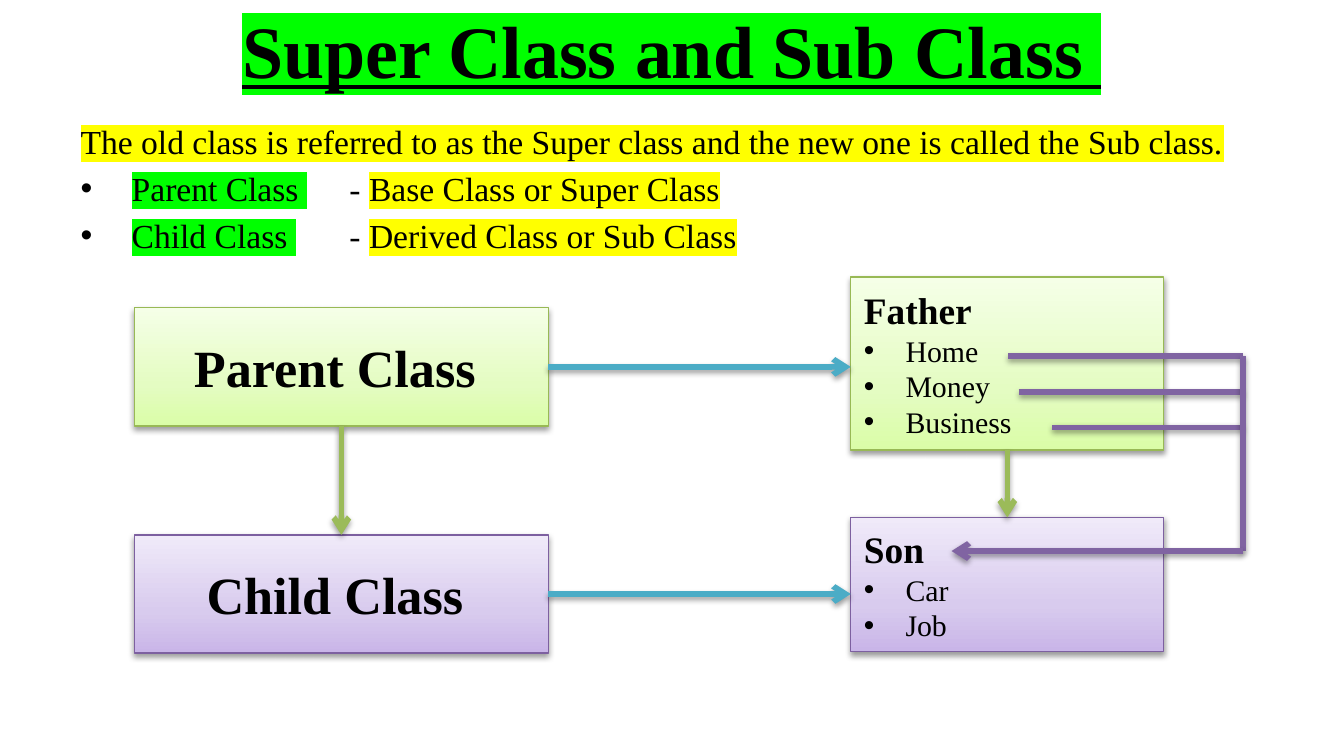
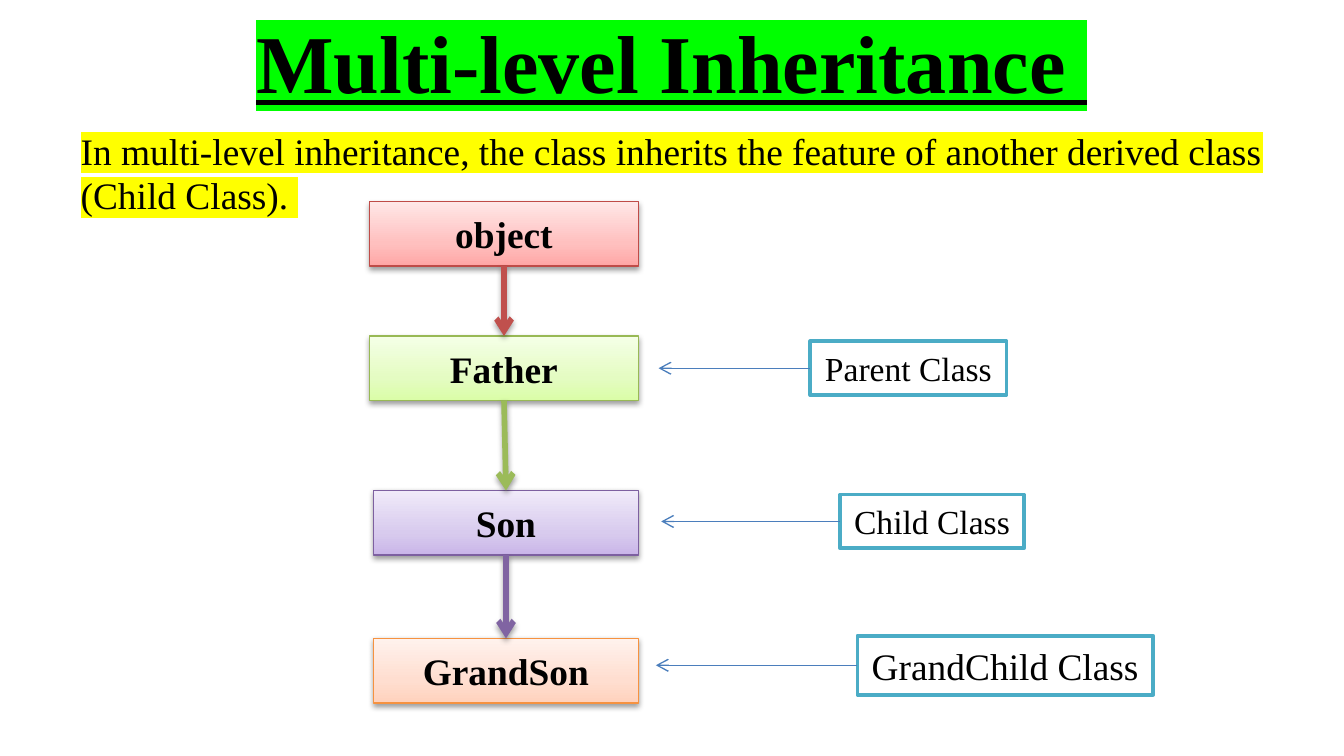
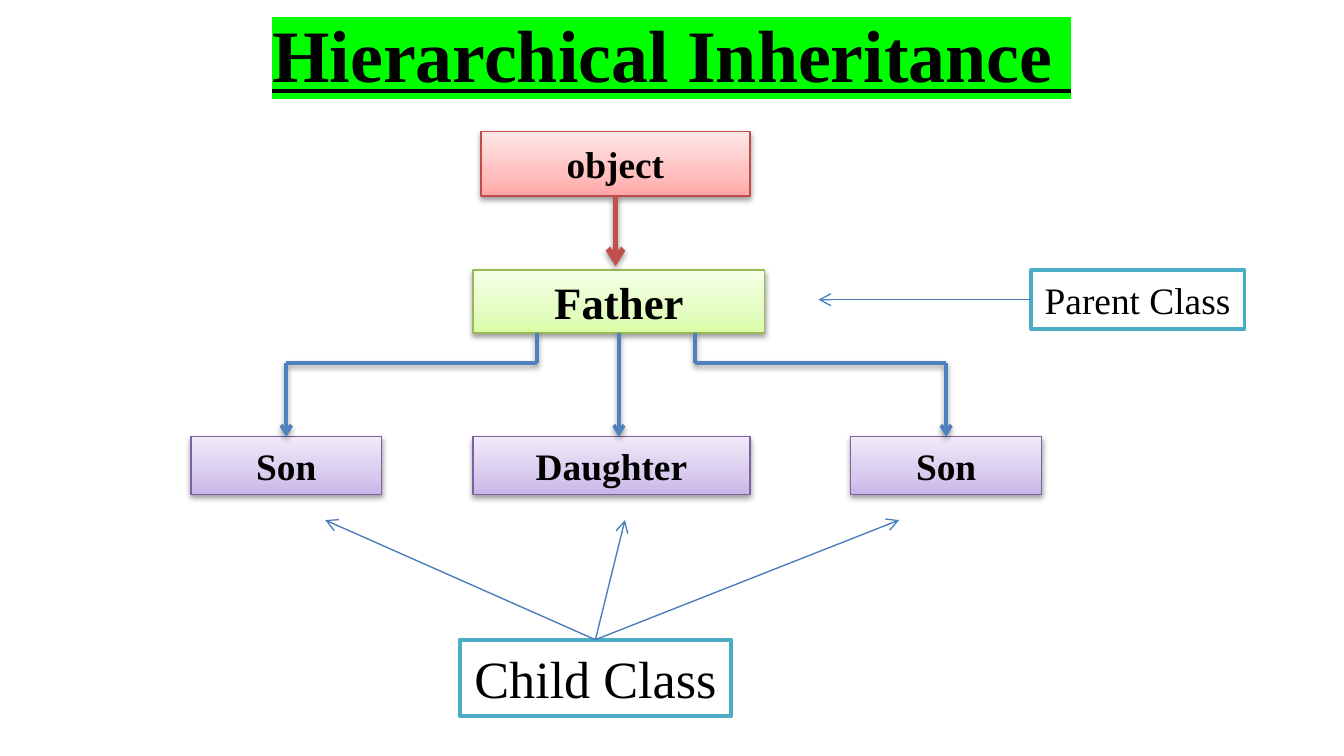
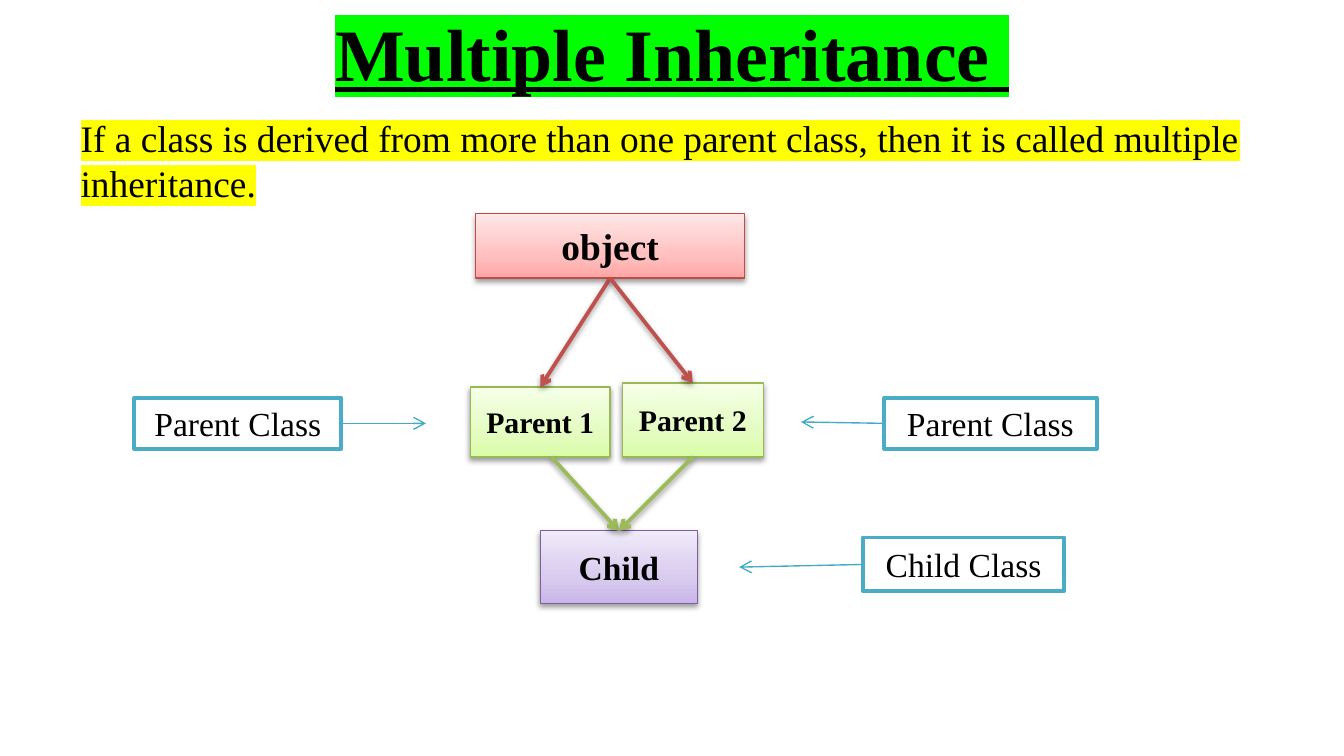
from dataclasses import dataclass

from lxml import etree
from pptx import Presentation
from pptx import util as u
from pptx.dml.color import RGBColor
from pptx.enum import shapes, text
from pptx.oxml.ns import qn

FONT = "Times New Roman"
UNIT = u.Inches(0.1)  # one column or row: 1% of the slide's width
COLORS = {
    "ink": "000000", "paper": "FFFFFF", "lime": "00FF00", "yellow": "FFFF00",
    "red": "C0504D", "green": "9BBB59", "purple": "8064A2", "blue": "4F81BD",
    "aqua": "4BACC6", "thin blue": "4B7EBC", "thin aqua": "46AAC5",
}
# Card styles: outline, then gradient from bottom to top
CARDS = {
    "red": ("BF4C48", "FFA6A5", "FFC0BF", "FFE7E7"),
    "green": ("98B955", "DAFDA7", "E4FCC2", "F5FFE7"),
    "purple": ("7D60A0", "C9B5E8", "D8CBEE", "F0EAF9"),
    "orange": ("F69240", "FFD2BD", "FFDED0", "FFF2ED"),
}


@dataclass
class Box:
    """A rectangle in grid units."""
    x: float
    y: float
    w: float
    h: float

    def sub(self, x, y, w, h):
        """A box whose corner is measured from this one's."""
        return Box(self.x + x, self.y + y, w, h)

    def at(self, fx, fy):
        """The point at the given shares of width and height."""
        return self.x + fx * self.w, self.y + fy * self.h

    def off(self, dx, dy):
        return self.x + dx, self.y + dy

    def emu(self):
        return [grid(v) for v in (self.x, self.y, self.w, self.h)]


def grid(value):
    return u.Emu(round(value * UNIT))


def rgb(name):
    return RGBColor.from_string(COLORS.get(name, name))


def add_xml(parent, tag, **attrs):
    return etree.SubElement(parent, qn(tag), {k: str(v) for k, v in attrs.items()})


def add_color(parent, value):
    return add_xml(parent, "a:srgbClr", val=COLORS.get(value, value))


def add_shadow(effects):
    shadow = add_xml(effects, "a:outerShdw", blurRad=u.Pt(3.1), dist=u.Pt(1.6),
                     dir=5400000, rotWithShape=0)
    add_xml(add_color(shadow, "ink"), "a:alpha", val=38000)


def set_font(p, size, bold=False):
    p.font.name, p.font.size, p.font.bold = FONT, u.Pt(size), bold
    p.font.color.rgb = rgb("ink")


def add_run(p, words, highlight=None):
    r = p.add_run()
    r.text = words
    if highlight:
        add_color(add_xml(r._r.get_or_add_rPr(), "a:highlight"), highlight)


def set_bullet(p, indent):
    pPr = p._p.get_or_add_pPr()
    pPr.set("marL", str(u.Inches(indent)))
    pPr.set("indent", str(-u.Inches(indent)))
    add_xml(pPr, "a:buFont", typeface="Arial")
    add_xml(pPr, "a:buChar", char="•")


def place(sp, box):
    sp.left, sp.top, sp.width, sp.height = box.emu()
    sp.text_frame.auto_size = text.MSO_AUTO_SIZE.NONE
    sp.text_frame.word_wrap = True


def add_slide(prs, title, box, size=39.6, has_body=False):
    s = prs.slides.add_slide(prs.slide_layouts[1 if has_body else 5])
    place(s.shapes.title, box)
    tf = s.shapes.title.text_frame
    tf.vertical_anchor = text.MSO_ANCHOR.MIDDLE
    p = tf.paragraphs[0]
    p.alignment = text.PP_ALIGN.CENTER
    add_run(p, title, "lime")
    set_font(p, size, bold=True)
    p.font.underline = True
    return s


def add_body(s, box, lead, size, terms=()):
    """Fill the body with a lead sentence and a bullet for each defined term."""
    body = s.placeholders[1]
    place(body, box)
    tf = body.text_frame
    p = tf.paragraphs[0]
    pPr = p._p.get_or_add_pPr()
    pPr.set("marL", "0")
    pPr.set("indent", "0")
    p.space_before = u.Pt(0)
    add_xml(pPr, "a:buNone")
    add_run(p, lead, "yellow")
    set_font(p, size)
    for term, meaning in terms:
        p = tf.add_paragraph()
        set_bullet(p, 0.38)
        add_run(p, term, "lime")
        add_run(p, "\t- ")
        add_run(p, meaning, "yellow")
        set_font(p, size)


def add_rect(s, box, outline, width, words, size, bold):
    sp = s.shapes.add_shape(shapes.MSO_SHAPE.RECTANGLE, *box.emu())
    sp.shadow.inherit = False
    sp.line.color.rgb, sp.line.width = rgb(outline), u.Pt(width)
    tf = sp.text_frame
    tf.vertical_anchor = text.MSO_ANCHOR.MIDDLE
    p = tf.paragraphs[0]
    p.alignment = text.PP_ALIGN.CENTER
    add_run(p, words)
    set_font(p, size, bold)
    return sp


def add_card(s, box, style, words, size=20, items=()):
    """A shaded class box; with items, a left-aligned heading and list."""
    outline, *stops = CARDS[style]
    sp = add_rect(s, box, outline, 0.75, words, size, bold=True)
    sp.fill.gradient()
    sp.fill.gradient_angle = 90
    spPr = sp._element.spPr
    stop_list = spPr.find(".//" + qn("a:gsLst"))
    for stop in list(stop_list):
        stop_list.remove(stop)
    for pos, color in zip((0, 35, 100), stops):
        add_color(add_xml(stop_list, "a:gs", pos=pos * 1000), color)
    add_shadow(spPr.find(qn("a:effectLst")))
    tf = sp.text_frame
    tf.word_wrap = True
    if items:
        tf.paragraphs[0].alignment = text.PP_ALIGN.LEFT
    for item in items:
        p = tf.add_paragraph()
        p.alignment = text.PP_ALIGN.LEFT
        set_bullet(p, 0.31)
        add_run(p, item)
        set_font(p, 16)
    return box


def add_tag(s, box, words, size=18):
    sp = add_rect(s, box, "aqua", 2, words, size, bold=False)
    sp.fill.solid()
    sp.fill.fore_color.rgb = rgb("paper")
    sp.text_frame.word_wrap = False
    return box


def add_line(parent, start, end, color, width=3, head=True):
    ends = [grid(v) for v in (*start, *end)]
    c = parent.shapes.add_connector(shapes.MSO_CONNECTOR.STRAIGHT, *ends)
    c.line.color.rgb, c.line.width = rgb(color), u.Pt(width)
    spPr = c._element.spPr
    if head:
        add_xml(spPr.find(qn("a:ln")), "a:tailEnd", type="arrow")
    effects = add_xml(spPr, "a:effectLst")
    if width > 1:
        add_shadow(effects)


def add_pointer(s, start, end, color="thin blue"):
    add_line(s, start, end, color, 0.75)


def add_route(parent, points, color, width):
    """Join the points with straight lines, the last one an arrow."""
    for i in range(1, len(points)):
        add_line(parent, points[i - 1], points[i], color, width, i == len(points) - 1)


def draw_super_and_sub(s, box):
    parent = add_card(s, box.sub(0, 2.3, 30.8, 8.8), "green", "Parent Class ", 28)
    child = add_card(s, box.sub(0, 19.2, 30.8, 8.8), "purple", "Child Class ", 28)
    father = add_card(s, box.sub(53.3, 0, 23.3, 12.9), "green", "Father",
                      items=("Home", "Money", "Business"))
    son = add_card(s, box.sub(53.3, 17.9, 23.3, 10), "purple", "Son",
                   items=("Car", "Job"))
    for upper, lower in ((parent, child), (father, son)):
        add_line(s, upper.at(0.5, 1), lower.at(0.5, 0), "green")
    for source in (parent, child):
        x, y = source.at(1, 0.5)
        add_line(s, (x, y), (father.x, y), "aqua")

    # Everything the father owns runs down one rail to the son
    group = s.shapes.add_group_shape()
    rail = box.x + box.w
    starts = [father.off(dx, 5.9 + 2.65 * i) for i, dx in enumerate((11.7, 12.5, 15))]
    for x, y in starts[1:]:
        add_line(group, (x, y), (rail, y), "purple", head=False)
    end = son.off(7.5, 2.5)
    add_route(group, [starts[0], (rail, starts[0][1]), (rail, end[1]), end],
              "purple", 3)


def draw_levels(s, box):
    levels = (("object", "red", 0, 0), ("Father", "green", 0, 10),
              ("Son", "purple", 0.3, 21.5), ("GrandSon", "orange", 0.3, 32.5))
    cards = [add_card(s, box.sub(x, y, box.w - x, 4.8), style, name)
             for name, style, x, y in levels]
    for upper, lower, level in zip(cards, cards[1:], levels):
        add_line(s, upper.at(0.5, 1), lower.at(0.5, 0), level[1])
    tags = (("Parent Class", 18, (32.8, 10.4, 14.6, 4), 21.5),
            ("Child Class", 18, (35, 21.8, 13.7, 4), 21.7),
            ("GrandChild Class", 20, (36.3, 32.3, 22, 4.4), 21.3))
    for words, size, spot, tip in tags:
        x, y = add_tag(s, box.sub(*spot), words, size).at(0, 0.5)
        add_pointer(s, (x, y), (box.x + tip, y))


def draw_hierarchy(s, box):
    root = add_card(s, box.sub(21.6, 0, 20, 4.8), "red", "object")
    father = add_card(s, box.sub(21, 10.3, 21.7, 4.7), "green", "Father", 24)
    x, y = root.at(0.5, 1)
    add_line(s, (x, y), (x, father.y - 0.3), "red")
    left, middle, right = [
        add_card(s, box.sub(x, 22.7, w, 4.3), "purple", name)
        for name, x, w in (("Son", 0, 14.2), ("Daughter", 21, 20.6), ("Son", 49.1, 14.2))]
    x, y = father.at(0.5, 1)
    add_line(s, (x, y), (x, middle.y), "blue", 2)
    for child, share in ((left, 0.22), (right, 0.76)):
        x, y = father.at(share, 1)
        end = child.at(0.5, 0)
        add_route(s.shapes.add_group_shape(),
                  [(x, y), (x, y + 2.2), (end[0], y + 2.2), end], "blue", 2)
    x, y = add_tag(s, box.sub(62.5, 10.3, 15.9, 4.4), "Parent Class", 20).at(0, 0.5)
    add_pointer(s, (x, y), (box.x + 46.7, y))
    tag = add_tag(s, box.sub(20, 37.8, 20.2, 5.7), "Child Class", 28)
    for tip in (10, 52.7, 32.3):
        add_pointer(s, tag.at(0.5, 0), box.off(tip, 28.9))


def draw_two_parents(s, box):
    root = add_card(s, box.sub(25.4, 0, 20, 4.8), "red", "object")
    first = add_card(s, box.sub(25, 12.9, 10.4, 5.2), "green", "Parent 1", 16)
    second = add_card(s, box.sub(36.3, 12.6, 10.5, 5.5), "green", "Parent 2", 16)
    child = add_card(s, box.sub(30.2, 23.6, 11.7, 5.4), "purple", "Child", 18)
    for parent, share in ((first, 0.58), (second, 0.5)):
        add_line(s, root.at(0.5, 1), parent.at(0.5, 0), "red", 2)
        add_line(s, parent.at(share, 1), child.at(0.5, 0), "green", 2)
    tags = (("Parent Class", (0, 13.7, 15.4, 3.8), 1, (21.7, 15.6)),
            ("Parent Class", (55.8, 13.7, 15.8, 3.8), 0, (49.6, 15.5)),
            ("Child Class", (54.2, 24.1, 15, 4), 0, (45, 26.3)))
    for words, spot, side, tip in tags:
        tag = add_tag(s, box.sub(*spot), words)
        add_pointer(s, tag.at(side, 0.5), box.off(*tip), "thin aqua")


def main():
    prs = Presentation()
    prs.slide_width, prs.slide_height = grid(100), grid(56.25)

    s = add_slide(prs, "Super Class and Sub Class ", Box(5, 0, 90, 7.3), has_body=True)
    add_body(s, Box(5, 8.5, 89.2, 13.8),
             "The old class is referred to as the Super class and the new one "
             "is called the Sub class.", 18,
             (("Parent Class ", "Base Class or Super Class"),
              ("Child Class ", "Derived Class or Sub Class")))
    draw_super_and_sub(s, Box(10, 20.6, 82.5, 28))

    s = add_slide(prs, "Multi-level Inheritance ", Box(5, -0.2, 90, 9.4), 44, has_body=True)
    add_body(s, Box(5, 9, 90, 9.2),
             "In multi-level inheritance, the class inherits the feature of "
             "another derived class (Child Class). ", 20)
    draw_levels(s, Box(27.5, 15, 20, 37.3))

    s = add_slide(prs, "Hierarchical Inheritance ", Box(5, 0, 90, 7.9))
    draw_hierarchy(s, Box(14.2, 9.8, 78.4, 43.5))

    s = add_slide(prs, "Multiple Inheritance ", Box(5, 0.2, 90, 7.3), has_body=True)
    add_body(s, Box(5, 8.1, 90, 13.1),
             "If a class is derived from more than one parent class, then it "
             "is called multiple inheritance.", 20)
    draw_two_parents(s, Box(10, 15.9, 71.6, 29))

    prs.save("out.pptx")


if __name__ == "__main__":
    main()
